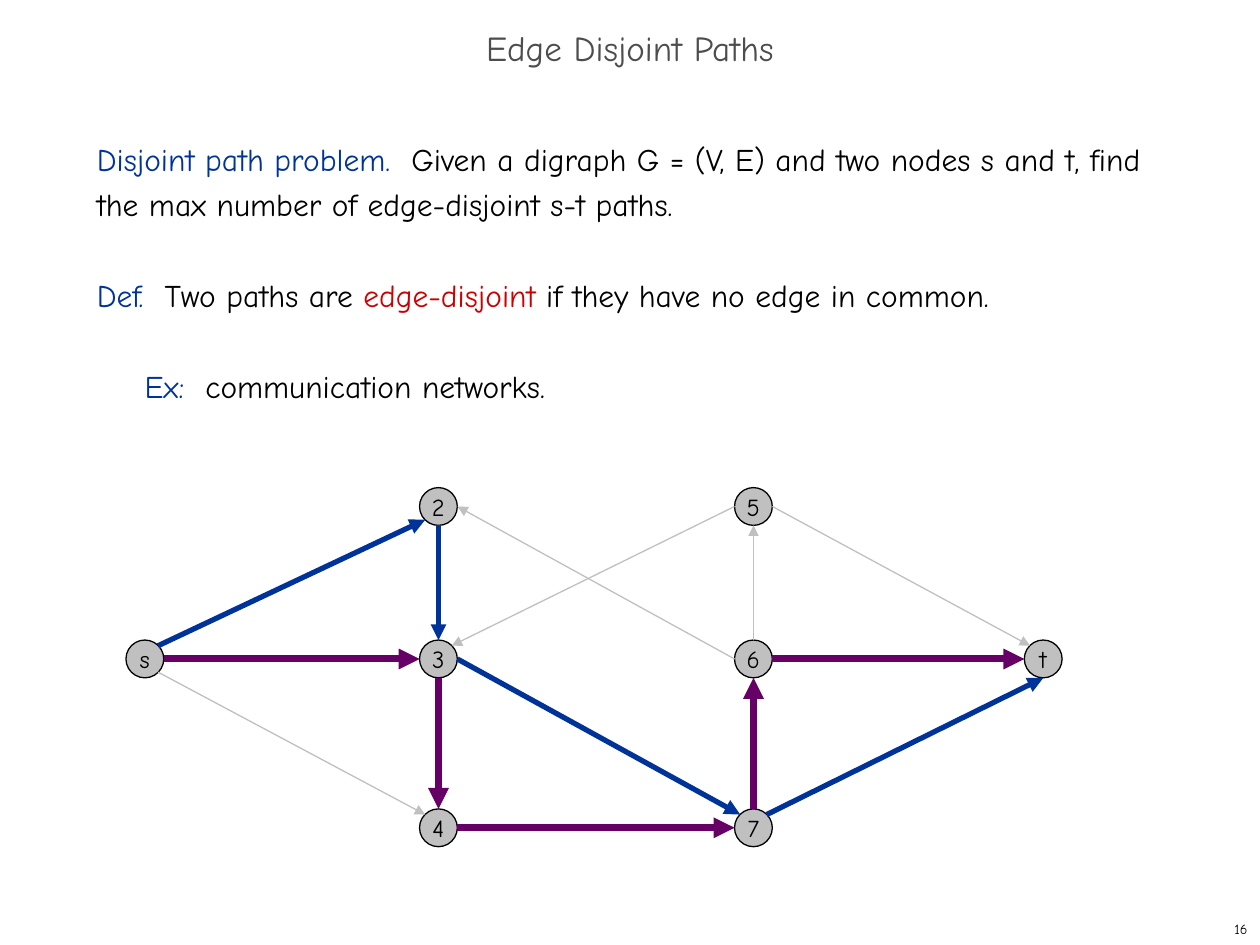
from pptx import Presentation
from pptx.dml.color import RGBColor
from pptx.enum import shapes, text
from pptx.oxml.ns import qn
from pptx.util import Inches, Pt
from lxml import etree

FONT = "Comic Neue"
BLACK = RGBColor(0x00, 0x00, 0x00)
BLUE = RGBColor(0x00, 0x33, 0x99)
RED = RGBColor(0xCC, 0x00, 0x00)
PURPLE = RGBColor(0x66, 0x00, 0x66)
SILVER = RGBColor(0xC0, 0xC0, 0xC0)
GRAY = RGBColor(0x4D, 0x4D, 0x4D)

RADIUS = 0.15
DIAGONAL = 0.7 * RADIUS
SIDES = {
    "n": (0, -RADIUS), "s": (0, RADIUS), "w": (-RADIUS, 0), "e": (RADIUS, 0),
    "nw": (-DIAGONAL, -DIAGONAL), "ne": (DIAGONAL, -DIAGONAL),
    "sw": (-DIAGONAL, DIAGONAL),
    "se": (DIAGONAL, DIAGONAL),
}

TOP, MIDDLE, BOTTOM = 4.02, 5.23, 6.57
NODES = {
    "s": (1.15, MIDDLE),
    "2": (3.48, TOP), "3": (3.48, MIDDLE), "4": (3.48, BOTTOM),
    "5": (5.98, TOP), "6": (5.98, MIDDLE), "7": (5.98, BOTTOM),
    "t": (8.28, MIDDLE),
}

FIRST_PATH = (BLUE, 3)
SECOND_PATH = (PURPLE, 4)
UNUSED = (SILVER, 0.75)
# Start node and side, end node and side, line style
EDGES = [
    ("s", "ne", "2", "sw", FIRST_PATH),
    ("2", "s", "3", "n", FIRST_PATH),
    ("3", "e", "7", "nw", FIRST_PATH),
    ("7", "ne", "t", "s", FIRST_PATH),
    ("s", "e", "3", "w", SECOND_PATH),
    ("3", "s", "4", "n", SECOND_PATH),
    ("4", "e", "7", "w", SECOND_PATH),
    ("7", "n", "6", "s", SECOND_PATH),
    ("6", "e", "t", "w", SECOND_PATH),
    ("s", "se", "4", "nw", UNUSED),
    ("6", "n", "5", "s", UNUSED),
    ("6", "w", "2", "e", UNUSED),
    ("5", "w", "3", "ne", UNUSED),
    ("5", "e", "t", "nw", UNUSED),
]

STATEMENTS = [
    [("Disjoint path problem.  ", BLUE),
     ("Given a digraph G = (V, E) and two nodes s and t, find "
      "the max number of edge-disjoint s-t paths.", BLACK)],
    [("Def.  ", BLUE), ("Two paths are ", BLACK), ("edge-disjoint", RED),
     (" if they have no edge in common.", BLACK)],
    [("Ex:  ", BLUE), ("communication networks.", BLACK)],
]


def set_font(para, size, color=None):
    para.font.name = FONT
    para.font.size = Pt(size)
    if color is not None:
        para.font.color.rgb = color


def add_box(page, left, top, width, height, anchor):
    box = page.shapes.add_textbox(
        Inches(left), Inches(top), Inches(width), Inches(height))
    box.text_frame.word_wrap = True
    box.text_frame.vertical_anchor = anchor
    return box.text_frame


def add_label(page, words, place, size, color, align):
    para = add_box(page, *place, text.MSO_ANCHOR.MIDDLE).paragraphs[0]
    para.text = words
    para.alignment = align
    set_font(para, size, color)
    return para


def add_statements(page):
    frame = add_box(page, 0.67, 1, 8.58, 2.4, text.MSO_ANCHOR.TOP)
    for index, spans in enumerate(STATEMENTS):
        para = frame.add_paragraph() if index else frame.paragraphs[0]
        para.line_spacing = Pt(26)
        if index:
            para.space_before = Pt(26)
        set_font(para, 18)
        for words, color in spans:
            span = para.add_run()
            span.text = words
            span.font.color.rgb = color
    para.level = 1
    para._p.get_or_add_pPr().set("marL", str(Inches(0.38)))


def add_node(page, name, x, y):
    node = page.shapes.add_shape(
        shapes.MSO_SHAPE.OVAL, Inches(x - RADIUS), Inches(y - RADIUS),
        Inches(2 * RADIUS), Inches(2 * RADIUS))
    node.shadow.inherit = False
    node.fill.solid()
    node.fill.fore_color.rgb = SILVER
    node.line.color.rgb = BLACK
    node.line.width = Pt(0.75)
    frame = node.text_frame
    frame.word_wrap = False
    frame.vertical_anchor = text.MSO_ANCHOR.MIDDLE
    para = frame.paragraphs[0]
    para.text = name
    para.alignment = text.PP_ALIGN.CENTER
    set_font(para, 14, BLACK)


def anchor_point(name, side):
    return [Inches(center + shift)
            for center, shift in zip(NODES[name], SIDES[side])]


def add_edge(page, start, start_side, end, end_side, style):
    color, width = style
    edge = page.shapes.add_connector(
        shapes.MSO_CONNECTOR.STRAIGHT,
        *anchor_point(start, start_side), *anchor_point(end, end_side))
    edge.line.color.rgb = color
    edge.line.width = Pt(width)
    etree.SubElement(edge.line._get_or_add_ln(), qn("a:tailEnd"),
                     type="triangle")
    etree.SubElement(edge._element.spPr, qn("a:effectLst"))


def main():
    deck = Presentation()
    deck.slide_width, deck.slide_height = Inches(10), Inches(7.5)
    page = deck.slides.add_slide(deck.slide_layouts[6])
    title = add_label(page, "Edge Disjoint Paths", (0, 0.17, 10, 0.5),
                      20, GRAY, text.PP_ALIGN.CENTER)
    title.line_spacing = 0.7
    add_statements(page)
    for name, center in NODES.items():
        add_node(page, name, *center)
    for edge in EDGES:
        add_edge(page, *edge)
    add_label(page, "16", (7.92, 7.25, 2.08, 0.25),
              8, BLACK, text.PP_ALIGN.RIGHT)
    deck.save("out.pptx")


if __name__ == "__main__":
    main()
